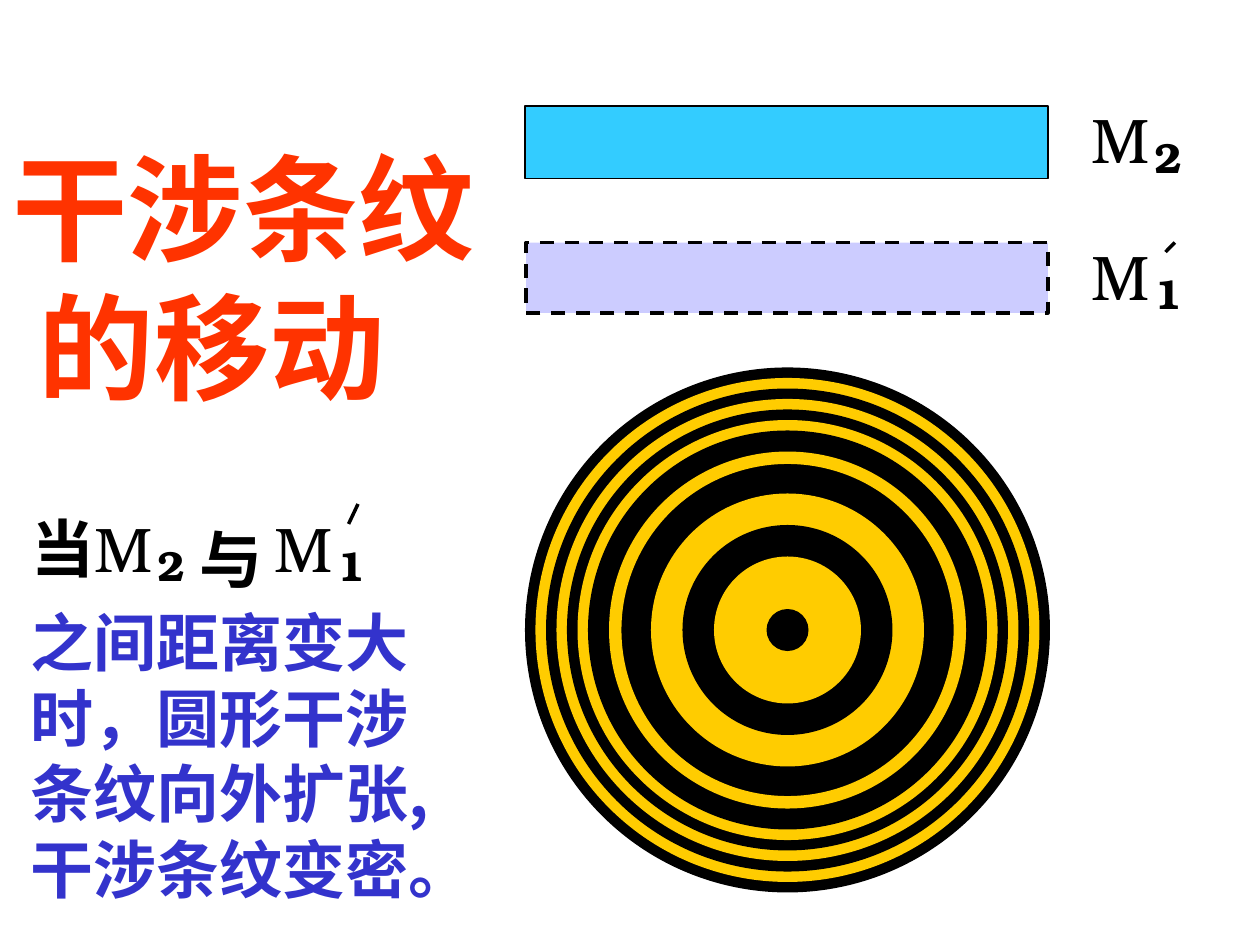
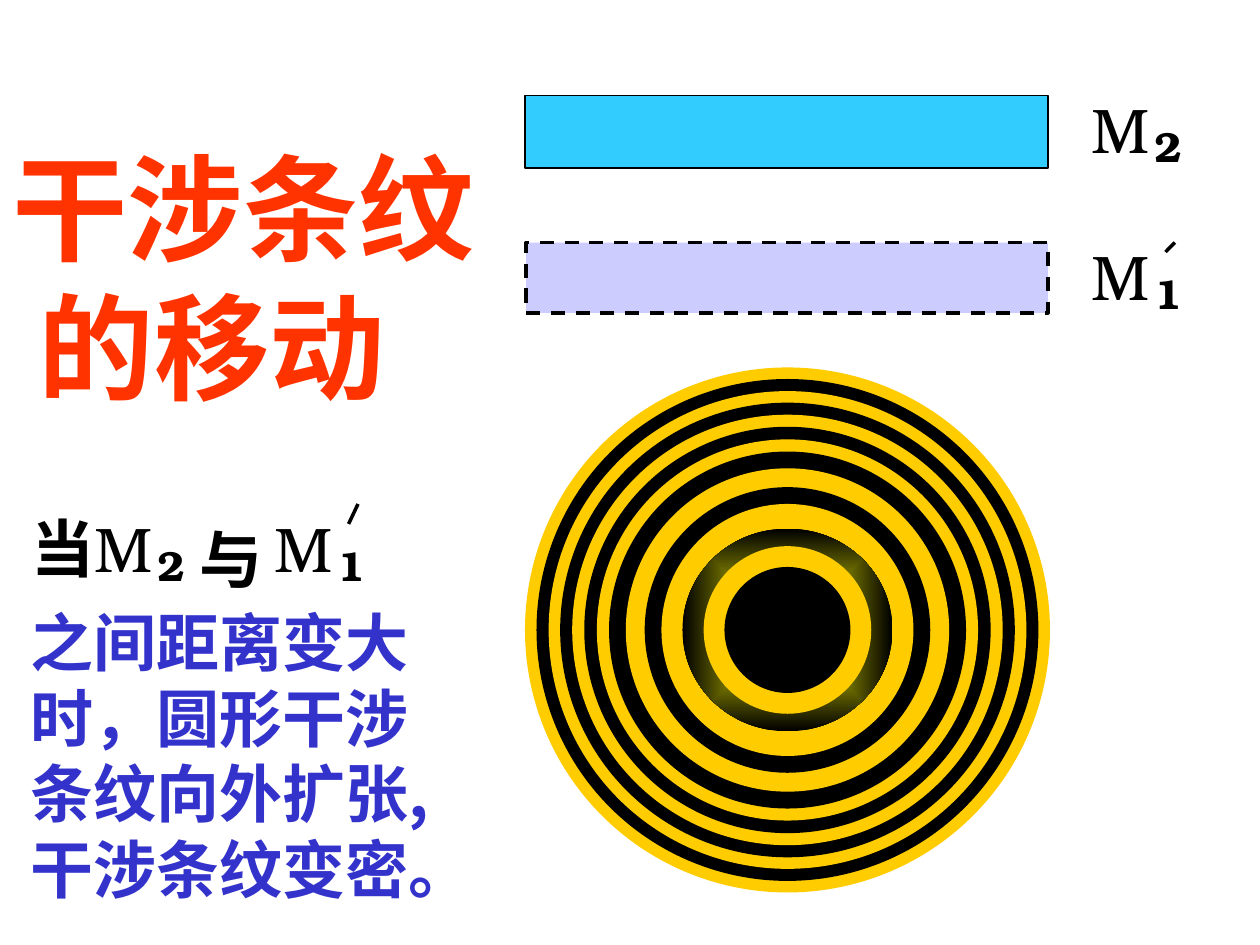
from dataclasses import dataclass
from itertools import cycle

from lxml.etree import SubElement
from pptx import Presentation
from pptx.dml.color import RGBColor
from pptx.enum.dml import MSO_LINE
from pptx.enum.shapes import MSO_CONNECTOR, MSO_SHAPE
from pptx.enum.text import MSO_AUTO_SIZE
from pptx.oxml.ns import qn
from pptx.util import Inches, Pt

BLACK = RGBColor(0x00, 0x00, 0x00)
GOLD = RGBColor(0xFF, 0xCC, 0x00)
YELLOW = RGBColor(0xFF, 0xFF, 0x00)
SKY = RGBColor(0x33, 0xCC, 0xFF)
LAVENDER = RGBColor(0xCC, 0xCC, 0xFF)
INDIGO = RGBColor(0x33, 0x33, 0xCC)
ORANGE_RED = RGBColor(0xFF, 0x33, 0x00)

SERIF = "TeX Gyre Bonum"
SANS = "Noto Sans CJK SC"

COLUMNS, ROWS = 120, 90
SLIDE_WIDTH, SLIDE_HEIGHT = Inches(10), Inches(7.5)

TITLE_LINES = ["干涉条纹", " 的移动"]
BODY_LINES = ["之间距离变大", "时，圆形干涉", "条纹向外扩张,", "干涉条纹变密。"]


@dataclass
class Box:
    """A rectangle measured in grid columns and rows."""
    left: float
    top: float
    width: float
    height: float

    def inner(self, left, top, width, height):
        """Return a box placed relative to this one's corner."""
        return Box(self.left + left, self.top + top, width, height)

    def centred(self, width, height):
        """Return a box of the given size around this one's centre."""
        return self.inner((self.width - width) / 2, (self.height - height) / 2, width, height)

    def lengths(self):
        """Return left, top, width and height as slide lengths."""
        return (across(self.left), down(self.top), across(self.width), down(self.height))


def across(columns):
    """Convert grid columns to a slide length."""
    return round(SLIDE_WIDTH * columns / COLUMNS)


def down(rows):
    """Convert grid rows to a slide length."""
    return round(SLIDE_HEIGHT * rows / ROWS)


def add_plain_shape(page, kind, box, fill, line=None, line_width=1):
    """Add a flat preset shape, outlined only when a line colour is given."""
    shape = page.shapes.add_shape(kind, *box.lengths())
    shape.shadow.inherit = False
    shape.fill.solid()
    shape.fill.fore_color.rgb = fill
    if line is None:
        shape.line.fill.background()
    else:
        shape.line.color.rgb = line
        shape.line.width = Pt(line_width)
    return shape


def add_text(page, box, lines, size, color=BLACK, font=SERIF, bold=True):
    """Add an unwrapped text box with one paragraph for each line."""
    frame = page.shapes.add_textbox(*box.lengths()).text_frame
    frame.word_wrap = False
    frame.auto_size = MSO_AUTO_SIZE.SHAPE_TO_FIT_TEXT
    for number, line in enumerate(lines):
        para = frame.add_paragraph() if number else frame.paragraphs[0]
        span = para.add_run()
        span.text = line
        span.font.name = font
        span.font.size = Pt(size)
        span.font.bold = bold
        span.font.color.rgb = color
        SubElement(span.font._element, qn("a:ea"), typeface=font)


def add_symbol(page, box, subscript, prime_top=None):
    """Add the letter M with a subscript and, if asked, a prime stroke."""
    add_text(page, box, ["M"], 36, bold=False)
    add_text(page, box.inner(6, 2.9, 5, 6), [subscript], 24)
    if prime_top is not None:
        stroke = page.shapes.add_connector(
            MSO_CONNECTOR.STRAIGHT,
            across(box.left + 9.1), down(box.top + prime_top),
            across(box.left + 8.2), down(box.top + 2))
        stroke.line.color.rgb = BLACK
        stroke.line.width = Pt(2)
        SubElement(stroke._element.spPr, qn("a:effectLst"))


def add_mirrors(page, box, image_top):
    """Add the solid mirror, the dashed virtual mirror and their labels."""
    mirror = box.inner(0, 0, 49.8, 6.9)
    virtual = box.inner(0.1, image_top, 49.7, 6.7)
    add_plain_shape(page, MSO_SHAPE.RECTANGLE, mirror, SKY, BLACK)
    dashed = add_plain_shape(page, MSO_SHAPE.RECTANGLE, virtual, LAVENDER, BLACK, 2)
    dashed.line.dash_style = MSO_LINE.DASH
    add_symbol(page, box.inner(52.8, -1.1, 7.9, 8.4), "2")
    add_symbol(page, box.inner(52.8, image_top - 1.1, 7.9, 8.4), "1", prime_top=1.1)


def soften(shape):
    """Fill a ring with a rectangular blend from yellow to black."""
    shape.fill.gradient()
    for stop, color in zip(shape.fill.gradient_stops, (YELLOW, BLACK)):
        stop.color.rgb = color
    blend = shape._element.spPr.find(qn("a:gradFill"))
    blend.remove(blend.find(qn("a:lin")))
    outline = SubElement(blend, qn("a:path"), {"path": "rect"})
    SubElement(outline, qn("a:fillToRect"), {side: "50000" for side in "ltrb"})


def add_fringes(page, box, diameters, colors, outlined, soft=None):
    """Stack concentric discs of alternating colour, largest first."""
    for diameter, color in zip(diameters, cycle(colors)):
        height = diameter * 0.965 if diameter == soft else diameter
        line = GOLD if diameter == outlined else None
        disc = add_plain_shape(
            page, MSO_SHAPE.OVAL, box.centred(diameter, height), color, line)
        if diameter == soft:
            soften(disc)


def add_explanation(page, box):
    """Add the condition line with its symbols and the text below it."""
    add_text(page, box.inner(0.1, 0, 8.4, 8.4), ["当"], 36)
    add_symbol(page, box.inner(6.1, 0, 7.9, 8.4), "2")
    add_text(page, box.inner(16.1, 1.1, 8.4, 8.4), ["与"], 36)
    add_symbol(page, box.inner(23.3, 0, 7.9, 8.4), "1", prime_top=0.1)
    add_text(page, box.inner(0, 9, 44.4, 30), BODY_LINES, 36, INDIGO, SANS)


def build_fringe_slide(deck, mirror_top, fringes):
    """Add one slide showing a mirror position and its fringe pattern."""
    page = deck.slides.add_slide(deck.slide_layouts[6])
    add_fringes(page, Box(50, 35, 50, 50), **fringes)
    add_mirrors(page, Box(50, mirror_top, 60, 30), 23.1 - mirror_top)
    add_explanation(page, Box(1.7, 47.9, 46, 39))
    add_text(page, Box(0, 12.5, 46.4, 27.6), TITLE_LINES, 66, ORANGE_RED, SANS)


def main():
    """Build the deck with both mirror positions."""
    deck = Presentation()
    deck.slide_width, deck.slide_height = SLIDE_WIDTH, SLIDE_HEIGHT
    build_fringe_slide(deck, 10.1, {
        "diameters": [*range(50, 37, -2), 34, 31.8, 26, 20, 14, 4],
        "colors": (BLACK, GOLD),
        "outlined": 31.8,
    })
    build_fringe_slide(deck, 9.1, {
        "diameters": [50, 47.8, 45.5, 43.3, 41, 38.7, 36.3, 34,
                      30.8, 27.2, 24, 20, 15.8, 12],
        "colors": (GOLD, BLACK),
        "outlined": 15.8,
        "soft": 20,
    })
    deck.save("out.pptx")


if __name__ == "__main__":
    main()
